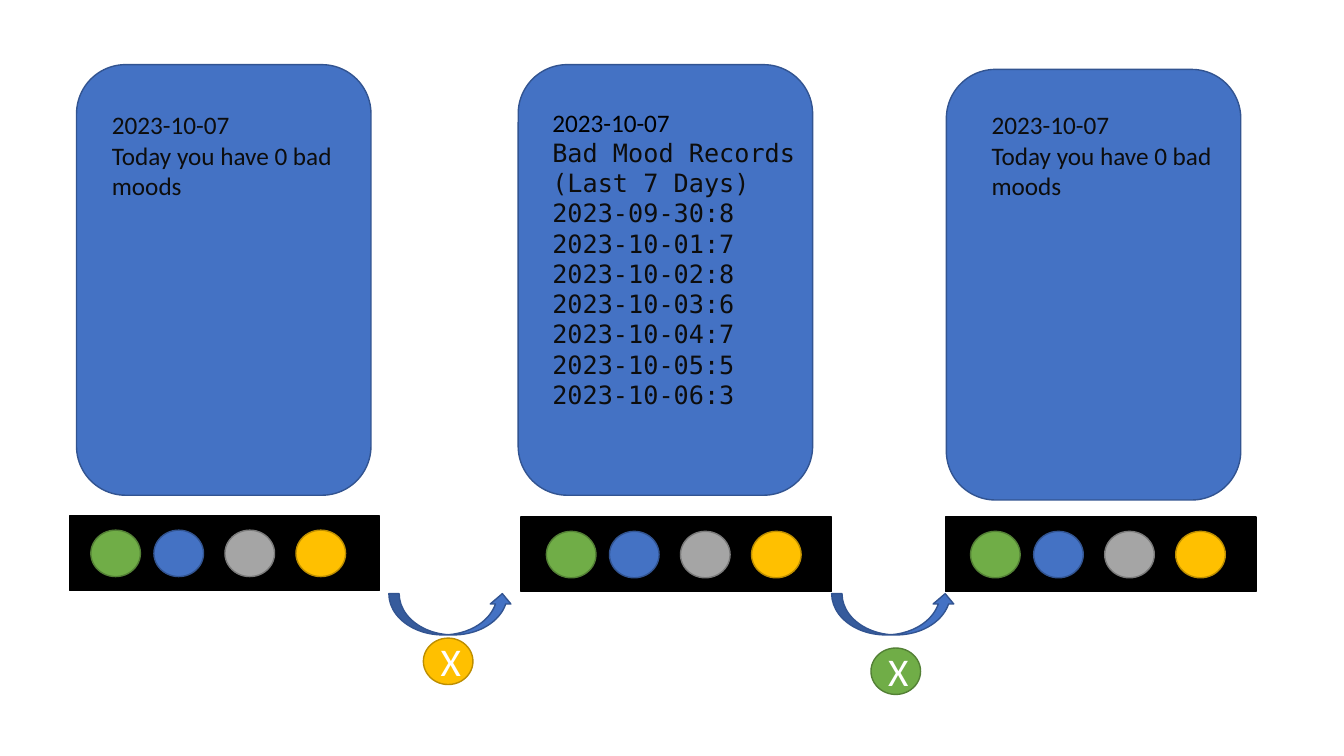
from pptx import Presentation
from pptx.dml.color import RGBColor
from pptx.enum.shapes import MSO_SHAPE as Shape
from pptx.enum.text import MSO_ANCHOR as Anchor, PP_ALIGN as Align
from pptx.util import Cm, Pt

COLORS = {
    "green": "70AD47", "green_edge": "538035",
    "blue": "4472C4", "blue_edge": "325491",
    "gray": "A5A5A5", "gray_edge": "7A7A7A",
    "yellow": "FFC000", "yellow_edge": "BD8E00",
    "black": "000000", "black_edge": "000000",
    "ink": "0D0D0D", "white": "FFFFFF",
}
SANS, MONO = "Calibri", "DejaVu Sans Mono"


def color(name):
    return RGBColor.from_string(COLORS[name])


def write(paragraph, text, size=18, font=SANS, ink="ink", align=Align.LEFT):
    paragraph.alignment = align
    run = paragraph.add_run()
    run.text = text
    run.font.size = Pt(size)
    run.font.name = font
    run.font.color.rgb = color(ink)


class Board:
    button_size = (1.25, 1.17)
    button_offsets = {"green": 0, "blue": 1.59, "gray": 3.38, "yellow": 5.17}

    def __init__(self, slide):
        self.slide = slide

    def block(self, kind, fill, left, top, width, height):
        shape = self.slide.shapes.add_shape(
            kind, Cm(left), Cm(top), Cm(width), Cm(height))
        shape.shadow.inherit = False
        shape.fill.solid()
        shape.fill.fore_color.rgb = color(fill)
        shape.line.color.rgb = color(fill + "_edge")
        shape.line.width = Pt(1)
        return shape

    def button(self, fill, left, top):
        return self.block(Shape.OVAL, fill, left, top, *self.button_size)

    def screen(self, left, top):
        self.block(Shape.ROUNDED_RECTANGLE, "blue", left, top, 7.42, 10.85)

    def button_bar(self, left, top, first_button):
        self.block(Shape.RECTANGLE, "black", left, top, 7.82, 1.88)
        for fill, offset in self.button_offsets.items():
            self.button(fill, first_button + offset, top + 0.36)

    def message(self, lines, left, top, width, height):
        frame = self.slide.shapes.add_textbox(
            Cm(left), Cm(top), Cm(width), Cm(height)).text_frame
        frame.word_wrap = True
        for index, (text, style) in enumerate(lines):
            paragraph = frame.add_paragraph() if index else frame.paragraphs[0]
            write(paragraph, text, **style)

    def press(self, fill, arrow_left, left, top):
        self.block(Shape.CURVED_UP_ARROW, "blue", arrow_left, 14.96, 3.12, 1.04)
        frame = self.button(fill, left, top).text_frame
        frame.vertical_anchor = Anchor.MIDDLE
        write(frame.paragraphs[0], "X", size=28, ink="white", align=Align.CENTER)


deck = Presentation()
deck.slide_width, deck.slide_height = Cm(33.87), Cm(19.05)
board = Board(deck.slides.add_slide(deck.slide_layouts[6]))

today = "2023-10-07"
summary = [(today, {}), ("Today you have 0 bad moods", {})]
daily_counts = {
    "2023-09-30": 8, "2023-10-01": 7, "2023-10-02": 8, "2023-10-03": 6,
    "2023-10-04": 7, "2023-10-05": 5, "2023-10-06": 3,
}
history = [(today, {"ink": "black"})]
history += [(text, {"font": MONO}) for text in (
    "Bad Mood Records (Last 7 Days)",
    *(f"{day}:{count}" for day, count in daily_counts.items()))]

steps = [
    ((1.93, 1.63), (1.75, 13, 2.29), summary, (2.57, 2.64, 6.17, 2.67)),
    ((13.06, 1.63), (13.13, 13.03, 13.77), history, (13.67, 2.57, 7.09, 9.5)),
    ((23.85, 1.75), (23.83, 13.03, 24.46), summary, (24.74, 2.64, 6.17, 2.67)),
]
for screen, bar, lines, message_box in steps:
    board.screen(*screen)
    board.button_bar(*bar)
    board.message(lines, *message_box)

board.press("yellow", 9.8, 10.67, 16.08)
board.press("green", 20.96, 21.95, 16.33)

deck.save("out.pptx")
